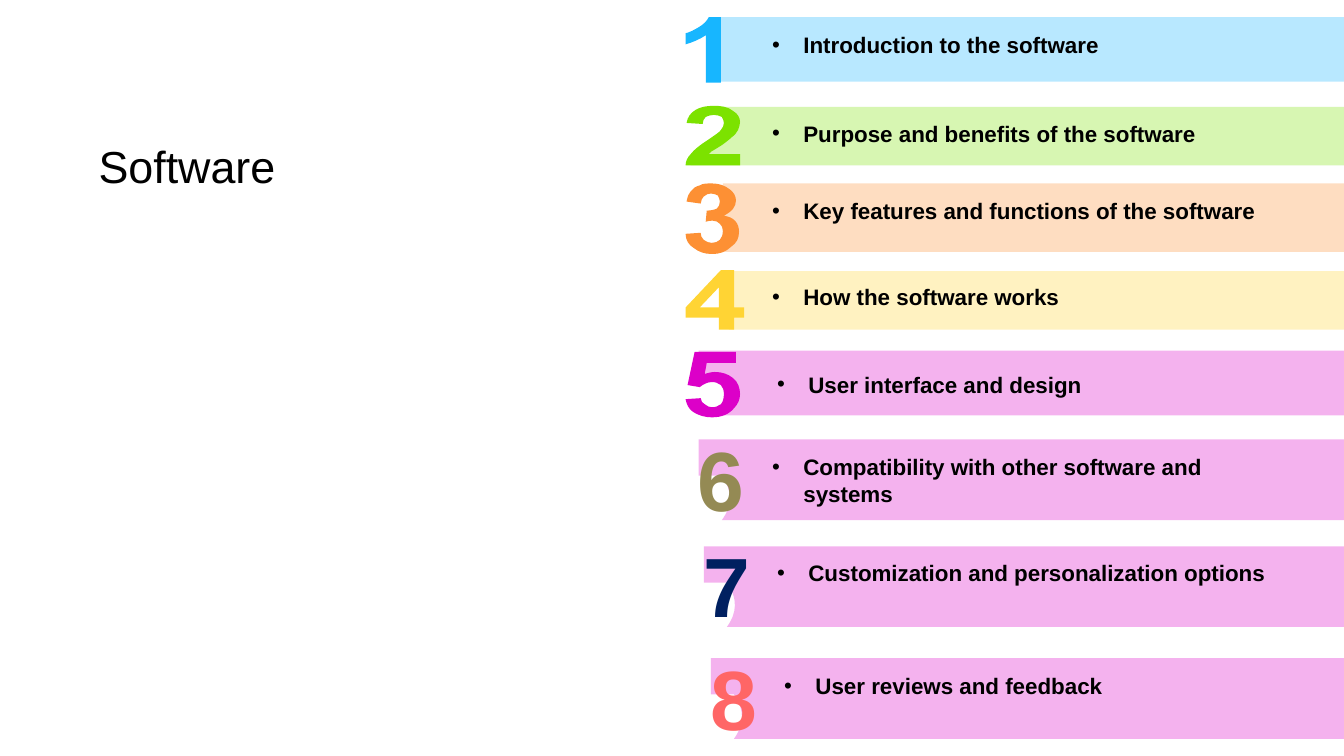
from lxml import etree
from pptx import Presentation
from pptx.dml.color import RGBColor
from pptx.enum.shapes import MSO_SHAPE
from pptx.enum.text import MSO_ANCHOR, MSO_AUTO_SIZE, PP_ALIGN
from pptx.oxml.ns import qn
from pptx.util import Inches, Pt

RECTANGLE = MSO_SHAPE.RECTANGLE
MIDDLE, TOP = MSO_ANCHOR.MIDDLE, MSO_ANCHOR.TOP
GROW = MSO_AUTO_SIZE.SHAPE_TO_FIT_TEXT
CENTER = PP_ALIGN.CENTER

BLACK = RGBColor(0x00, 0x00, 0x00)
BLUE = RGBColor(0x17, 0xB6, 0xFF)
GREEN = RGBColor(0x7C, 0xE2, 0x00)
ORANGE = RGBColor(0xFD, 0x90, 0x34)
YELLOW = RGBColor(0xFF, 0xD4, 0x34)
MAGENTA = RGBColor(0xDC, 0x00, 0xC8)
OLIVE = RGBColor(0x94, 0x8A, 0x54)
NAVY = RGBColor(0x00, 0x20, 0x60)
CORAL = RGBColor(0xFF, 0x66, 0x66)

FONT = "Arial"
SLIDE_W, SLIDE_H = 13.33, 7.5
BAR_OPACITY = 30
NOTCHED_W = 6.41
UNIT = 100  # outline units in an inch
FINE = 10  # drawing steps in an outline unit

TITLE = "Software"

# Outlines: M move, L lines, C cubic curves, Z close; hundredths of an inch.
DIGIT_1 = "M 703 17 L 715 17 715 82 700 82 700 35 C 694 39 687 42 680 44 L 680 33 C 684 32 688 30 693 27 698 24 701 21 703 17 Z"
DIGIT_2 = """M 708 105 C 716 105 722 106 727 110 732 113 734 117 734 121 734 124 733 126 732 129
731 131 729 134 726 136 724 138 720 141 716 144 711 147 708 149 706 150 705 151 704 152 703 153
L 734 153 734 164 680 164 C 680 160 682 156 685 153 688 149 694 144 702 139 709 134 714 131 715 129
717 127 718 124 718 122 718 120 717 118 716 116 714 115 711 114 708 114 705 114 702 115 700 116
698 118 697 120 697 123 L 681 122 C 682 116 685 112 690 109 695 106 701 105 708 105 Z"""
DIGIT_3 = """M 706 182 C 713 182 719 184 724 188 728 191 730 195 730 199 730 205 726 210 718 214
723 215 726 216 729 219 732 222 733 226 733 230 733 236 731 241 725 245 720 250 714 252 706 252
699 252 693 250 688 246 683 243 680 238 680 232 L 695 231 C 695 234 696 236 698 238
701 240 703 241 706 241 709 241 712 240 714 238 716 236 717 233 717 229 717 226 716 224 714 222
712 220 710 219 707 219 705 219 702 219 700 220 L 701 209 C 705 209 709 208 711 207
713 205 714 203 714 200 714 198 713 196 712 194 710 193 708 192 705 192 703 192 700 193 698 195
697 196 695 199 695 202 L 681 200 C 682 195 683 192 685 190 687 187 690 185 694 184
697 182 701 182 706 182 Z"""
DIGIT_4 = """M 713 285 L 694 305 713 305 Z
M 715 268 L 728 268 728 305 738 305 738 315 728 315 728 327 713 327 713 315 680 315 680 305 Z"""
DIGIT_5 = """M 689 349 L 730 349 730 360 701 360 699 371 C 702 370 706 369 709 369 716 369 722 371 727 375
732 379 734 385 734 391 734 396 732 401 728 405 723 411 716 414 706 414 699 414 693 412 688 409
683 406 681 401 680 396 L 695 395 C 695 398 697 400 699 401 701 403 704 404 706 404
710 404 712 403 715 401 717 399 718 395 718 391 718 387 717 384 715 382 712 380 710 379 706 379
702 379 698 381 694 384 L 682 382 Z"""
WAVY_BAR = """M 712 106 L 1333 106 1333 164 739 164 712 164 685 164 C 697 154 695 141 722 134
747 116 712 114 712 106 Z"""


def notched_bar(left, top, height):
    """Outline of a bar with a curved bite at its lower left."""
    x, y, h, w = (v * UNIT for v in (left, top, height, NOTCHED_W))
    notch, bottom = y + .45 * h, y + h
    return (f"M {x} {y} L {x + 42} {y} {x + 42} {y} {x + w} {y} "
            f"{x + w} {bottom} {x + 23} {bottom} "
            f"C {x + 33} {y + .825 * h} {x + 34} {y + .65 * h} {x + 23} {notch} "
            f"L {x} {notch} Z")


# text, text left, text top, bar (box or outline), bar colour, digit colour,
# digit (an outline, or the left and top of a text box)
TOPICS = [
    ("Introduction to the software", 7.56, .26, (7.14, .17, .64), BLUE, BLUE, DIGIT_1),
    ("Purpose and benefits of the software", 7.56, 1.14, WAVY_BAR, GREEN, GREEN, DIGIT_2),
    ("Key features and functions of the software", 7.56, 1.91, (7.17, 1.82, .68),
     ORANGE, ORANGE, DIGIT_3),
    ("How the software works", 7.56, 2.76, (7.23, 2.69, .58), YELLOW, YELLOW, DIGIT_4),
    ("User interface and design", 7.61, 3.63, notched_bar(6.93, 3.48, .64),
     MAGENTA, MAGENTA, DIGIT_5),
    ("Compatibility with other software and systems", 7.56, 4.45,
     notched_bar(6.93, 4.36, .8), MAGENTA, OLIVE, (6.74, 4.19)),
    ("Customization and personalization options", 7.61, 5.5,
     notched_bar(6.98, 5.42, .8), MAGENTA, NAVY, (6.8, 5.24)),
    ("User reviews and feedback", 7.68, 6.62,
     notched_bar(7.05, 6.53, .8), MAGENTA, CORAL, (6.87, 6.36)),
]


def contours(outline):
    """Turn an outline into lists of steps; a step is its control points, then its end."""
    result, command, pending = [], "", []
    for token in outline.split():
        if token.isalpha():
            command = token
            continue
        pending.append(float(token) * FINE)
        if len(pending) < (6 if command == "C" else 2):
            continue
        step = list(zip(pending[::2], pending[1::2]))
        pending = []
        if command == "M":
            result.append([])
        result[-1].append(step)
    return result


def add_outline(s, outline):
    parts = contours(outline)
    builder = s.shapes.build_freeform(*parts[0][0][-1], scale=Inches(1) / (UNIT * FINE))
    for i, part in enumerate(parts):
        if i:
            builder.move_to(*part[0][-1])
        builder.add_line_segments([step[-1] for step in part[1:]], close=True)
    shape = builder.convert_to_shape()

    # Bend the segments that have control points.
    steps = [step for part in parts for step in part[1:]]
    for segment, step in zip(list(shape._element.iter(qn("a:lnTo"))), steps):
        if len(step) == 1:
            continue
        segment.tag = qn("a:cubicBezTo")
        for i, (x, y) in enumerate(step[:-1]):
            pt = etree.Element(qn("a:pt"))
            pt.set("x", str(round(x - builder.shape_offset_x)))
            pt.set("y", str(round(y - builder.shape_offset_y)))
            segment.insert(i, pt)
    return shape


def paint(shape, color, opacity=100):
    shape.shadow.inherit = False
    shape.fill.solid()
    shape.fill.fore_color.rgb = color
    shape.line.fill.background()
    if opacity < 100:
        clr = shape.fill._xPr.find(qn("a:solidFill"))[0]
        etree.SubElement(clr, qn("a:alpha")).set("val", str(opacity * 1000))
    return shape


def add_text(s, text, box, size, color=BLACK, bold=True, anchor=TOP):
    tb = s.shapes.add_textbox(*map(Inches, box))
    tf = tb.text_frame
    tf.word_wrap = True
    tf.auto_size = GROW
    tf.vertical_anchor = anchor
    tf.text = text
    p = tf.paragraphs[0]
    font = p.runs[0].font
    font.name, font.size, font.bold = FONT, Pt(size), bold
    font.color.rgb = color
    return p


def add_bullet(p):
    pPr = p._p.get_or_add_pPr()
    indent = Inches(.31)
    pPr.set("marL", str(indent))
    pPr.set("indent", str(-indent))
    etree.SubElement(pPr, qn("a:buFont")).set("typeface", FONT)
    etree.SubElement(pPr, qn("a:buChar")).set("char", "•")


def add_topic(s, number, text, left, top, bar, bar_color, digit_color, digit):
    if isinstance(bar, str):
        bar_shape = add_outline(s, bar)
    else:
        x, y, h = bar
        bar_shape = s.shapes.add_shape(RECTANGLE, *map(Inches, (x, y, SLIDE_W - x, h)))
    paint(bar_shape, bar_color, BAR_OPACITY)
    if isinstance(digit, str):
        digit_shape = paint(add_outline(s, digit), digit_color)
        s.shapes.add_group_shape([bar_shape, digit_shape])
    else:
        add_text(s, str(number), (*digit, .82, 1.11), 60, digit_color).alignment = CENTER
    height = .64 if len(text) > 43 else .37  # two lines or one
    add_bullet(add_text(s, text, (left, top, 5.34, height), 16))


def main():
    prs = Presentation()
    prs.slide_width, prs.slide_height = Inches(SLIDE_W), Inches(SLIDE_H)
    s = prs.slides.add_slide(prs.slide_layouts[6])
    add_text(s, TITLE, (.88, 1.32, 5.54, .64), 32, bold=False, anchor=MIDDLE)
    for number, topic in enumerate(TOPICS, 1):
        add_topic(s, number, *topic)
    prs.save("out.pptx")


if __name__ == "__main__":
    main()
